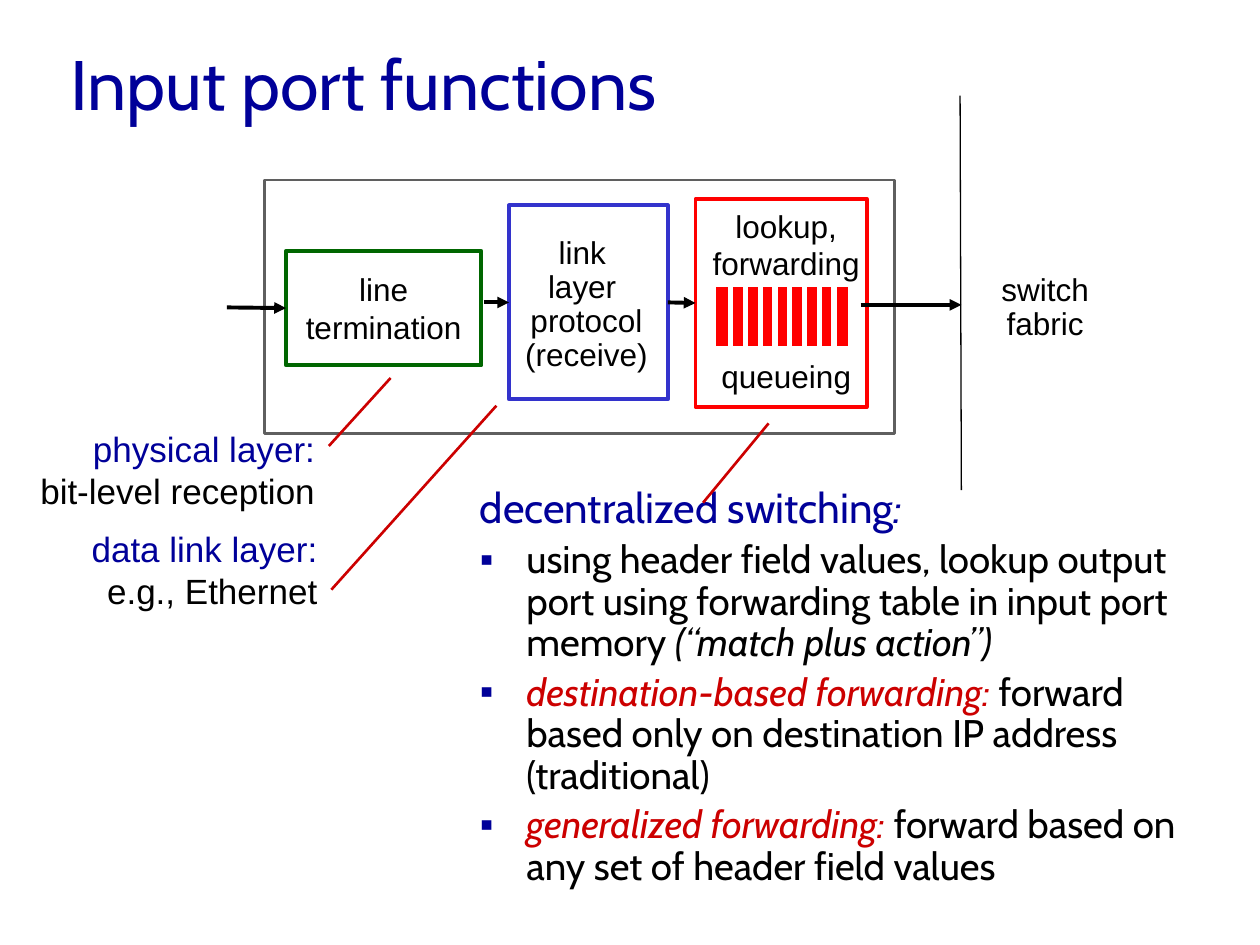
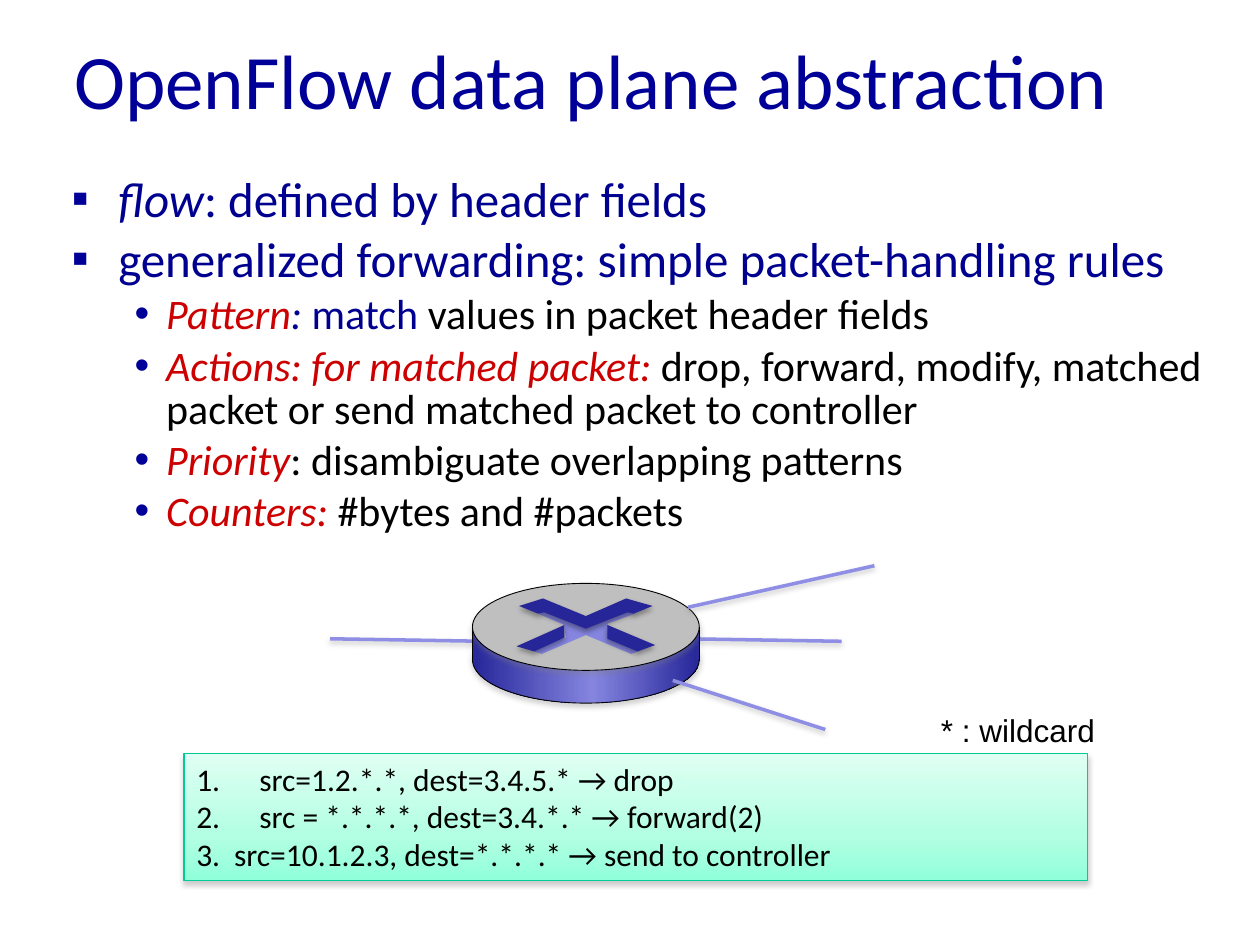
from dataclasses import dataclass
from functools import partial
from typing import Any, NamedTuple, Optional

from lxml.etree import SubElement
from pptx import Presentation
from pptx.dml.color import RGBColor
from pptx.enum.shapes import MSO_CONNECTOR as Connector, MSO_SHAPE as Shape
from pptx.enum.text import MSO_ANCHOR as Anchor, PP_ALIGN as Align
from pptx.oxml.ns import qn
from pptx.util import Emu, Inches, Pt

# Slide grid: 100 columns by 75 rows of square cells
WIDTH, HEIGHT = Inches(10), Inches(7.5)
COLUMNS, ROWS = 100, 75

# Colours
BLACK = RGBColor(0x00, 0x00, 0x00)
WHITE = RGBColor(0xFF, 0xFF, 0xFF)
NAVY = RGBColor(0x00, 0x00, 0x99)
DEEP_NAVY = RGBColor(0x00, 0x00, 0x90)
CRIMSON = RGBColor(0xCC, 0x00, 0x00)
RED = RGBColor(0xFF, 0x00, 0x00)
GREEN = RGBColor(0x00, 0x66, 0x00)
BLUE = RGBColor(0x33, 0x33, 0xCC)
GREY = RGBColor(0x5F, 0x5F, 0x5F)
SILVER = RGBColor(0xBF, 0xBF, 0xBF)
SHADE = RGBColor(0x80, 0x80, 0x80)
INDIGO = RGBColor(0x26, 0x26, 0x99)
VIOLET = RGBColor(0x85, 0x85, 0xE0)
WIRE = RGBColor(0x8E, 0x8E, 0xE4)
TEAL = RGBColor(0x00, 0xCC, 0x98)
MINT = [(0, RGBColor(0xE0, 0xFF, 0xF4)), (65, RGBColor(0xB2, 0xFF, 0xE3)),
        (100, RGBColor(0x90, 0xFF, 0xDA))]
METAL = [(0, INDIGO), (53, VIOLET), (100, INDIGO)]


class Area(NamedTuple):
    left: float
    top: float
    width: float
    height: float


class Span(NamedTuple):
    text: str
    color: RGBColor = BLACK
    italic: bool = False


class Shadow(NamedTuple):
    color: RGBColor
    alpha: int
    distance: float


@dataclass(frozen=True)
class Para:
    spans: tuple[Span, ...]
    size: float = 18
    font: str = "Arial"
    align: Align = Align.LEFT
    spacing: float = 1.0
    before: float = 0
    bullet: str = ""
    number: int = 0
    margin: float = 0  # hanging indent in columns
    hang: float = 0
    level: int = 0


@dataclass(frozen=True)
class Block:
    area: Area
    fill: Any = WHITE  # a colour, a list of gradient stops, or None
    line: Optional[RGBColor] = None
    weight: float = 0
    kind: Shape = Shape.RECTANGLE
    angle: float = 0
    shadow: Optional[Shadow] = None


LINE_SHADOW = Shadow(SHADE, 38, 1.6)
BODY_SHADOW = Shadow(SHADE, 35, 1.8)
GLYPH_SHADOW = Shadow(BLACK, 35, 1.8)


def col(count: float) -> Emu:
    return Emu(round(WIDTH * count / COLUMNS))


def row(count: float) -> Emu:
    return Emu(round(HEIGHT * count / ROWS))


def place(area: Area) -> tuple[Emu, ...]:
    return col(area.left), row(area.top), col(area.width), row(area.height)


def apply(target: Any, values: dict[str, Any]) -> None:
    for name, value in values.items():
        setattr(target, name, value)


def add_node(parent: Any, tag: str, **values: Any) -> Any:
    return SubElement(parent, qn(tag), {key: str(value) for key, value in values.items()})


# Text
def write_text(frame: Any, paras: list[Para], anchor: Anchor = Anchor.TOP,
               wrap: bool = False) -> None:
    apply(frame, {"word_wrap": wrap, "vertical_anchor": anchor})
    for index, item in enumerate(paras):
        para = frame.add_paragraph() if index else frame.paragraphs[0]
        apply(para, {"alignment": item.align, "line_spacing": item.spacing,
                     "space_before": Pt(item.before), "level": item.level})
        properties = para._p.get_or_add_pPr()
        properties.set("marL", str(col(item.margin)))
        properties.set("indent", str(-col(item.hang)))
        if item.bullet:
            add_node(add_node(properties, "a:buClr"), "a:srgbClr", val=NAVY)
            add_node(properties, "a:buFont", typeface="Arial")
            add_node(properties, "a:buChar", char=item.bullet)
        elif item.number:
            add_node(properties, "a:buAutoNum", type="arabicPeriod", startAt=item.number)
        else:
            add_node(properties, "a:buNone")
        for span in item.spans:
            run = para.add_run()
            run.text = span.text
            apply(run.font, {"name": item.font, "size": Pt(item.size), "italic": span.italic})
            run.font.color.rgb = span.color


def add_text(page: Any, area: Area, paras: list[Para], **layout: Any) -> None:
    write_text(page.shapes.add_textbox(*place(area)).text_frame, paras, **layout)


def add_title(page: Any, area: Area, text: str, font: str, size: float) -> None:
    add_text(page, area, [Para((Span(text, NAVY),), size, font)], anchor=Anchor.MIDDLE, wrap=True)


def lines(*texts: str, **style: Any) -> list[Para]:
    return [Para((Span(text),), **style) for text in texts]


centred = partial(lines, align=Align.CENTER)


# Shapes and lines
def set_shadow(shape: Any, shadow: Optional[Shadow]) -> None:
    properties = shape._element.spPr
    effects = properties.find(qn("a:effectLst"))
    if effects is None:
        effects = add_node(properties, "a:effectLst")
    if shadow:
        outer = add_node(effects, "a:outerShdw", blurRad=Pt(3.1), dist=Pt(shadow.distance),
                         dir=90 * 60000, rotWithShape=0)
        color = add_node(outer, "a:srgbClr", val=shadow.color)
        add_node(color, "a:alpha", val=shadow.alpha * 1000)


def set_gradient(shape: Any, stops: list, angle: float) -> None:
    shape.fill.gradient()
    shape.fill.gradient_angle = -angle % 360
    stop_list = shape._element.spPr.find(".//" + qn("a:gsLst"))
    stop_list.clear()
    for position, color in stops:
        add_node(add_node(stop_list, "a:gs", pos=position * 1000), "a:srgbClr", val=color)


def add_block(shapes: Any, block: Block) -> Any:
    shape = shapes.add_shape(block.kind, *place(block.area))
    shape.shadow.inherit = False
    if isinstance(block.fill, list):
        set_gradient(shape, block.fill, block.angle)
    else:
        shape.fill.solid()
        shape.fill.fore_color.rgb = block.fill
    if block.line is None:
        shape.line.fill.background()
    else:
        shape.line.color.rgb = block.line
        shape.line.width = Pt(block.weight)
    set_shadow(shape, block.shadow)
    return shape


def add_line(shapes: Any, start: tuple, end: tuple, color: RGBColor = BLACK, weight: float = 2.25,
             arrow: bool = False, shadow: Optional[Shadow] = None) -> Any:
    line = shapes.add_connector(Connector.STRAIGHT, col(start[0]), row(start[1]),
                                col(end[0]), row(end[1]))
    line.line.color.rgb = color
    line.line.width = Pt(weight)
    if arrow:
        add_node(line._element.spPr.find(qn("a:ln")), "a:tailEnd", type="triangle")
    set_shadow(line, shadow)
    return line


def add_outline(shapes: Any, points: list, fill: RGBColor, shadow: Optional[Shadow] = None) -> None:
    """Points are in hundredths of the slide grid's ten-column unit."""
    builder = shapes.build_freeform(*points[0], scale=col(0.1))
    builder.add_line_segments(points[1:], close=True)
    shape = builder.convert_to_shape()
    shape.shadow.inherit = False
    shape.fill.solid()
    shape.fill.fore_color.rgb = fill
    shape.line.fill.background()
    set_shadow(shape, shadow)


# Slide 1
def build_input_port(page: Any) -> None:
    shapes = page.shapes
    add_block(shapes, Block(Area(21, 14.3, 50, 20.1), line=GREY, weight=1.5))
    termination, link, lookup = [
        add_block(shapes, Block(area, line=color, weight=2.25)) for area, color in (
            (Area(22.7, 19.9, 15.5, 9.1), GREEN), (Area(40.4, 16.3, 12.6, 15.4), BLUE),
            (Area(55.2, 15.8, 13.6, 16.5), RED))]
    write_text(termination.text_frame, centred("line", "termination"), Anchor.MIDDLE)

    # Flow arrows
    arrow = partial(add_line, shapes, arrow=True)
    arrow((18, 24.4), (22.6, 24.4)).end_connect(termination, 1)
    arrow((38.4, 24), (40.4, 24)).end_connect(link, 1)
    handover = arrow((53, 24), (55.2, 24))
    handover.begin_connect(link, 3)
    handover.end_connect(lookup, 1)
    arrow((68.3, 24.2), (76.3, 24.2))

    # Box labels
    label = add_block(shapes, Block(Area(40.8, 19.7, 11.5, 9.1)))
    write_text(label.text_frame, centred("link ", "layer ", "protocol", "(receive)", spacing=0.9),
               Anchor.MIDDLE)
    add_text(page, Area(55.5, 15.9, 13.8, 16.2),
             centred("lookup,", "forwarding") + centred("queueing", before=43))

    # Title and body
    add_title(page, Area(4.6, 3.2, 85, 6.7), "Input port functions", "Cabin", 40)
    body = partial(Para, font="Cabin", spacing=0.9, margin=3.7, hang=3.7)
    item = partial(body, size=22, before=4.4, bullet="▪")
    add_text(page, Area(37.1, 38.2, 59.7, 29.2), [
        body((Span("decentralized switching", NAVY), Span(":", NAVY, True)), size=24, before=4.8),
        item((Span("using header field values, lookup output port using forwarding table "
                   "in input port memory "), Span("(“match plus action”)", italic=True))),
        item((Span("destination-based forwarding: ", CRIMSON, True),
              Span("forward based only on destination IP address (traditional)"))),
        item((Span("generalized forwarding: ", CRIMSON, True),
              Span("forward based on any set of header field values"))),
    ], wrap=True)

    # Layer notes
    note = partial(Para, size=20, align=Align.RIGHT)
    for area, heading, detail in (
            (Area(2, 33.4, 24, 7.7), "physical layer:", "bit-level reception"),
            (Area(6.1, 41.4, 20.1, 7.7), "data link layer:", "e.g., Ethernet")):
        add_text(page, area, [note((Span(heading, NAVY),)), note((Span(detail),))])

    # Switch fabric
    add_line(shapes, (76.2, 7.6), (76.3, 38.9), weight=0.75)
    fabric = add_block(shapes, Block(Area(77.2, 19.9, 11.5, 9.1)))
    write_text(fabric.text_frame, centred("switch", "fabric", spacing=0.9), Anchor.MIDDLE)

    # Packet queue
    queue = shapes.add_group_shape().shapes
    add_block(queue, Block(Area(56.6, 22.6, 10.9, 5.1), RED, WHITE, 3))
    for slot in range(8):
        left = 58 + slot * 8.2 / 7
        add_line(queue, (left, 22.7), (left, 27.6), WHITE, 3)

    # Pointers from notes to boxes
    for start, end in (((26.1, 35.4), (31, 30)), ((26.3, 46.8), (39.4, 32.2)),
                       ((55.8, 39.9), (61, 33.6))):
        add_line(shapes, start, end, CRIMSON, 1.5)


# Slide 2
def add_router(page: Any) -> None:
    router = page.shapes.add_group_shape().shapes
    disc = partial(Block, line=BLACK, weight=0.5, kind=Shape.OVAL, shadow=BODY_SHADOW)
    add_block(router, disc(Area(37.5, 48.9, 18, 6.9), METAL))
    add_block(router, Block(Area(37.5, 49.8, 18.1, 2.5), METAL, angle=180))
    add_block(router, disc(Area(37.5, 46.3, 18, 6.9), SILVER))
    add_outline(router, [(465, 504), (430, 519), (421, 516), (449, 506), (448, 496), (427, 487),
                         (434, 485), (465, 497), (496, 484), (504, 487), (482, 495), (486, 508),
                         (509, 516), (501, 519)], VIOLET)
    for points in (
            [(412, 481), (431, 475), (465, 489), (497, 475), (518, 481), (503, 487),
             (498, 486), (465, 499), (432, 486), (427, 487)],
            [(482, 496), (520, 512), (506, 517), (482, 507)],
            [(448, 496), (448, 506), (424, 517), (410, 513)]):
        add_outline(router, points, INDIGO, GLYPH_SHADOW)
    for side in (37.5, 55.55):
        add_line(router, (side, 52.45), (side, 49.75), weight=0.5, shadow=LINE_SHADOW)


def build_openflow(page: Any) -> None:
    add_title(page, Area(4.9, 0, 92.3, 12.5), "OpenFlow data plane abstraction", "Calibri", 44)
    body = partial(Para, font="Calibri", spacing=0.85)
    item = partial(body, size=28, before=5.6, bullet="▪", margin=3.7, hang=3.7)
    detail = partial(body, size=24, before=4.8, bullet="•", margin=7.5, hang=2.5, level=1)
    add_text(page, Area(4.7, 13.6, 92.5, 58.3), [
        item((Span("flow", DEEP_NAVY, True), Span(": defined by header fields", DEEP_NAVY))),
        item((Span("generalized forwarding: simple packet-handling rules", DEEP_NAVY),)),
        detail((Span("Pattern", CRIMSON, True), Span(": ", DEEP_NAVY, True),
                Span("match ", DEEP_NAVY), Span("values in packet header fields"))),
        detail((Span("Actions: for matched packet: ", CRIMSON, True),
                Span("drop, forward, modify, matched packet or send matched packet "
                     "to controller"))),
        detail((Span("Priority", CRIMSON, True), Span(": disambiguate overlapping patterns"))),
        detail((Span("Counters: ", CRIMSON, True), Span("#bytes and #packets"))),
    ], wrap=True)

    # Router and its links
    wire = partial(add_line, page.shapes, color=WIRE, weight=2, shadow=LINE_SHADOW)
    wire((26.2, 50.7), (38.5, 50.9))
    wire((54.5, 50.7), (66.8, 50.9))
    add_router(page)
    wire((53.4, 54), (65.5, 57.9))
    wire((54.6, 48.2), (69.4, 44.9))

    # Rule list
    rules = add_block(page.shapes, Block(Area(14.6, 59.8, 71.7, 10.1), MINT, TEAL, 0.75,
                                         angle=90, shadow=LINE_SHADOW))
    entries = (("src=1.2.*.*, dest=3.4.5.* → drop", 5),
               ("src = *.*.*.*, dest=3.4.*.* → forward(2)", 5),
               ("src=10.1.2.3, dest=*.*.*.* → send to controller", 3))
    write_text(rules.text_frame, [
        Para((Span(text),), font="Calibri", number=number, margin=indent, hang=indent)
        for number, (text, indent) in enumerate(entries, 1)], wrap=True)
    add_text(page, Area(73.7, 55.9, 14.4, 4), lines("* : wildcard"))


def main() -> None:
    deck = Presentation()
    apply(deck, {"slide_width": WIDTH, "slide_height": HEIGHT})
    for build in (build_input_port, build_openflow):
        build(deck.slides.add_slide(deck.slide_layouts[6]))
    deck.save("out.pptx")


if __name__ == "__main__":
    main()
